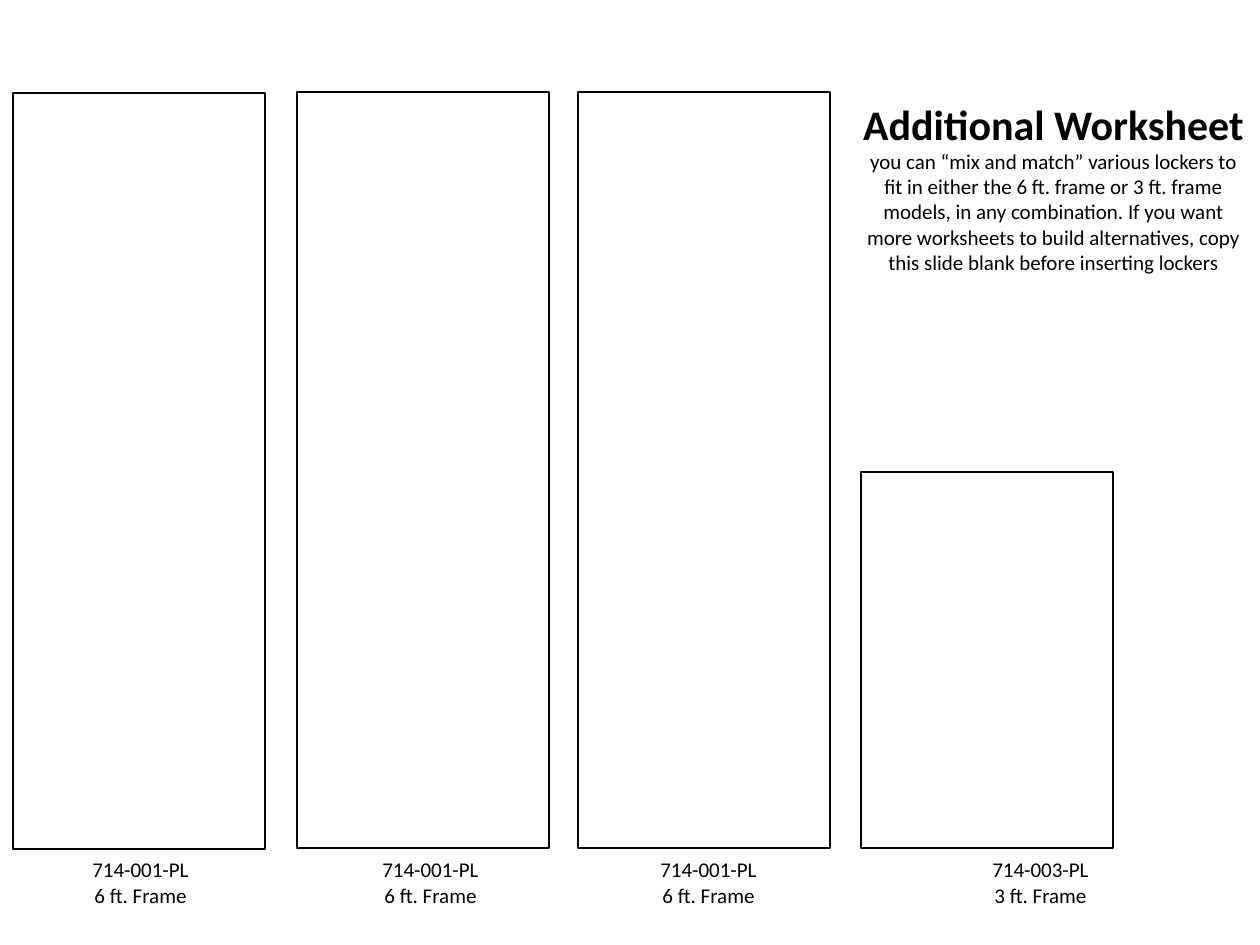
from dataclasses import dataclass

from pptx import Presentation
from pptx.dml.color import RGBColor
from pptx.enum.shapes import MSO_SHAPE
from pptx.enum.text import MSO_ANCHOR, MSO_AUTO_SIZE, PP_ALIGN
from pptx.util import Emu, Pt

RECTANGLE = MSO_SHAPE.RECTANGLE
CENTER = PP_ALIGN.CENTER
TOP = MSO_ANCHOR.TOP
FIT_TEXT = MSO_AUTO_SIZE.SHAPE_TO_FIT_TEXT

PX_PER_INCH = 126
FONT = "Calibri"
COLORS = {"ink": "000000", "paper": "FFFFFF"}

FRAME_WIDTH = 252
LABEL_TOP, LABEL_WIDTH, LABEL_HEIGHT = 857, 97, 50
HEADING = "Additional Worksheet"
INSTRUCTIONS = (
    "you can “mix and match” various lockers to fit in either the 6 ft. frame "
    "or 3 ft. frame models, in any combination. If you want more worksheets to "
    "build alternatives, copy this slide blank before inserting lockers"
)


@dataclass(frozen=True)
class Frame:
    left: int
    top: int
    height: int
    label_left: int
    model: str
    size: str


FRAMES = (
    Frame(13, 93, 756, 92, "714-001-PL", "6 ft. Frame"),
    Frame(297, 92, 756, 382, "714-001-PL", "6 ft. Frame"),
    Frame(578, 92, 756, 660, "714-001-PL", "6 ft. Frame"),
    Frame(861, 472, 376, 992, "714-003-PL", "3 ft. Frame"),
)


def px(length: int) -> Emu:
    return Emu(round(length * 914400 / PX_PER_INCH))


def color(key: str) -> RGBColor:
    return RGBColor.from_string(COLORS[key])


def add_rectangle(slide, left: int, top: int, width: int, height: int):
    rectangle = slide.shapes.add_shape(
        RECTANGLE, px(left), px(top), px(width), px(height)
    )
    rectangle.shadow.inherit = False
    return rectangle


def write_line(paragraph, text: str, size: int, bold: bool = False) -> None:
    paragraph.alignment = CENTER
    run = paragraph.add_run()
    run.text = text
    run.font.name = FONT
    run.font.size = Pt(size)
    run.font.bold = bold
    run.font.color.rgb = color("ink")


def draw_outline(slide, frame: Frame) -> None:
    outline = add_rectangle(slide, frame.left, frame.top, FRAME_WIDTH, frame.height)
    outline.fill.background()
    outline.line.color.rgb = color("ink")
    outline.line.width = Pt(1)


def draw_label(slide, frame: Frame) -> None:
    label = add_rectangle(
        slide, frame.label_left, LABEL_TOP, LABEL_WIDTH, LABEL_HEIGHT
    )
    label.fill.solid()
    label.fill.fore_color.rgb = color("paper")
    label.line.fill.background()
    body = label.text_frame
    body.margin_left = body.margin_right = body.margin_top = body.margin_bottom = 0
    body.vertical_anchor = TOP
    body.word_wrap = False
    body.auto_size = FIT_TEXT
    write_line(body.paragraphs[0], frame.model, 12)
    write_line(body.add_paragraph(), frame.size, 12)


def draw_instructions(slide) -> None:
    box = slide.shapes.add_textbox(px(848), px(92), px(411), px(190))
    body = box.text_frame
    body.word_wrap = True
    body.auto_size = FIT_TEXT
    write_line(body.paragraphs[0], HEADING, 24, bold=True)
    write_line(body.add_paragraph(), INSTRUCTIONS, 12)


def main() -> None:
    worksheet = Presentation()
    worksheet.slide_width = px(1260)
    worksheet.slide_height = px(945)
    slide = worksheet.slides.add_slide(worksheet.slide_layouts[6])
    draw_instructions(slide)
    for frame in FRAMES:
        draw_outline(slide, frame)
        draw_label(slide, frame)
    worksheet.save("out.pptx")


if __name__ == "__main__":
    main()
